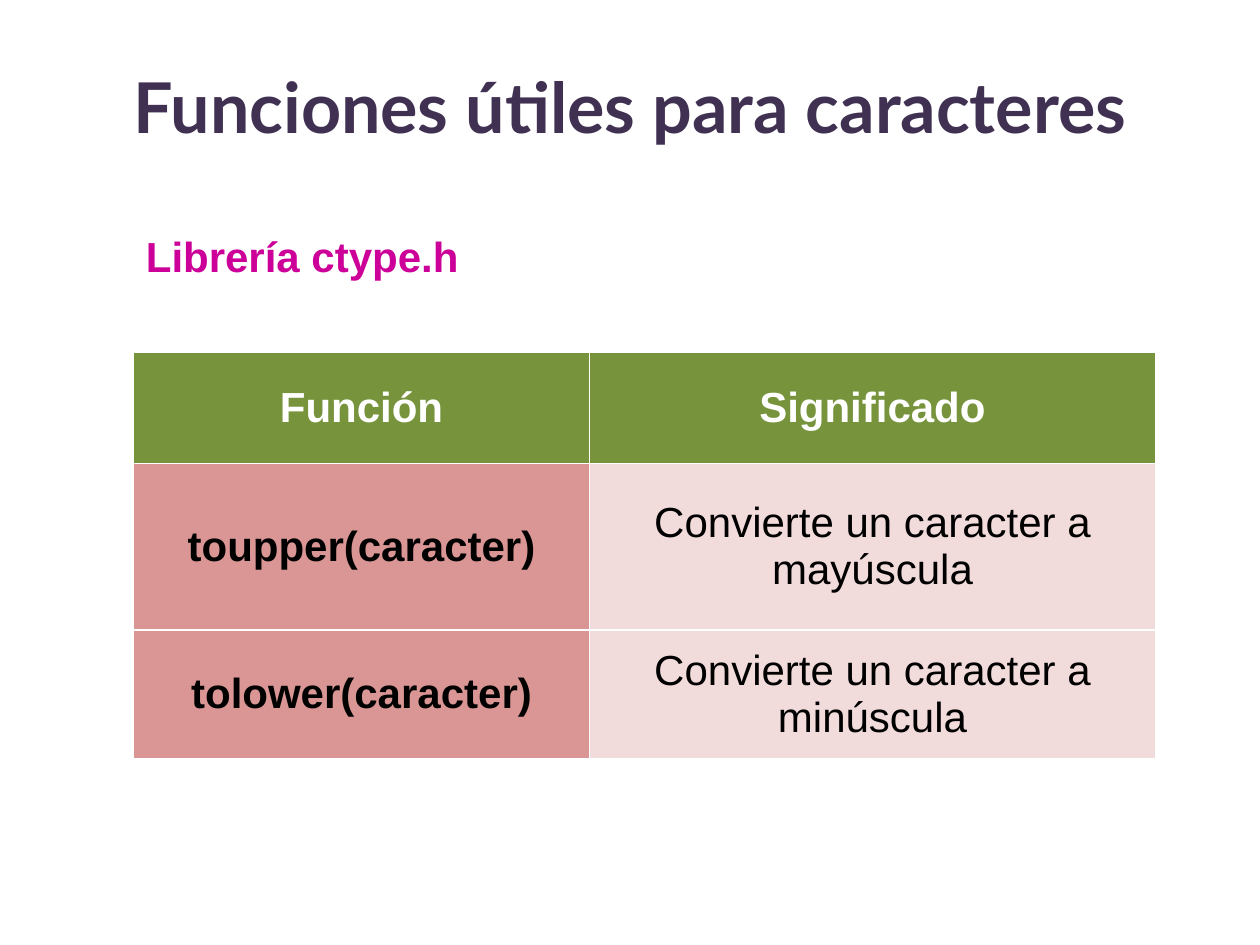
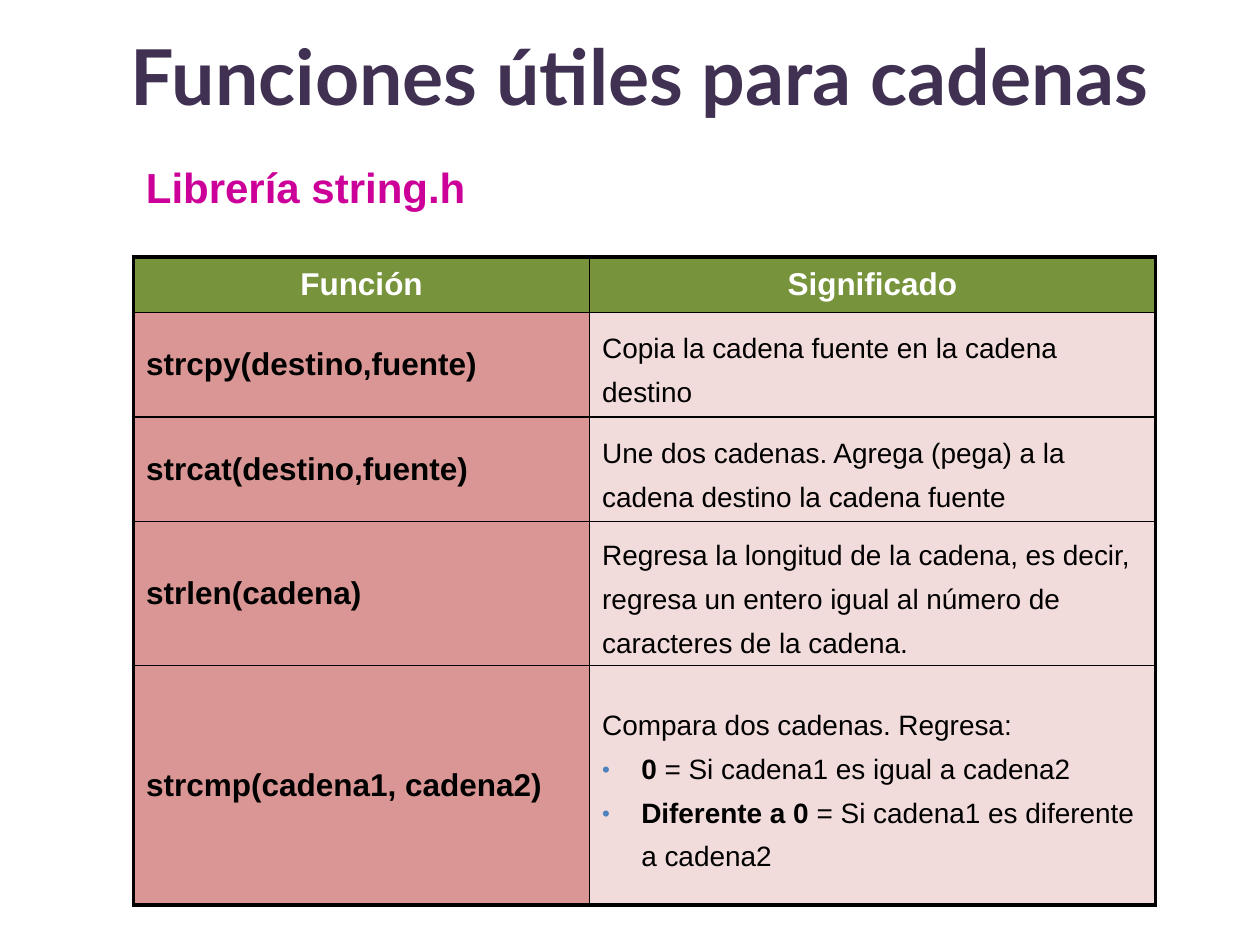
"""Build two slides that list useful C functions for characters and strings."""
import pptx
import pptx.dml.color
import pptx.enum.text
import pptx.oxml
import pptx.oxml.ns
import pptx.util
import lxml.etree

presentation = pptx.Presentation()
presentation.slide_width = pptx.util.Inches(10)
presentation.slide_height = pptx.util.Inches(7.5)
column = presentation.slide_width / 100
row = presentation.slide_height / 75

LEFT = pptx.enum.text.PP_ALIGN.LEFT
CENTER = pptx.enum.text.PP_ALIGN.CENTER
MIDDLE = pptx.enum.text.MSO_ANCHOR.MIDDLE
COLORS = {"title": "403152", "library": "CC0099", "header": "77933C",
          "function": "D99694", "meaning": "F2DCDB", "bullet": "4F81BD",
          "white": "FFFFFF", "black": "000000"}
NAMESPACE = pptx.oxml.ns.nsdecls("a")
TABLE_LEFT, COLUMN_WIDTHS = 10.6, (36.2, 44.9)


def color(name):
    return pptx.dml.color.RGBColor.from_string(COLORS[name])


def write(paragraph, runs, alignment, size, font_color, name="Arial"):
    paragraph.alignment = alignment
    for text, bold in runs:
        run = paragraph.add_run()
        run.text = text
        font_format = {"name": name, "size": pptx.util.Pt(size), "bold": bold}
        for attribute, value in font_format.items():
            setattr(run.font, attribute, value)
        run.font.color.rgb = color(font_color)


slides = [
    {"title": "Funciones útiles para caracteres", "title_size": 40,
     "title_at": (7.5, 2.1), "library": "Librería ctype.h", "library_top": 17.8,
     "table_top": 28, "rows": (8.8, 13.2, 10.2), "sizes": (24, 24),
     "alignment": CENTER, "spacing": None, "line": "white", "outer": 0,
     "functions": [
         ("toupper(caracter)", [[("Convierte un caracter a mayúscula", False)]]),
         ("tolower(caracter)", [[("Convierte un caracter a minúscula", False)]])]},
    {"title": "Funciones útiles para cadenas", "title_size": 44,
     "title_at": (8.3, -0.3), "library": "Librería string.h", "library_top": 12.3,
     "table_top": 20.4, "rows": (4.4, 8.3, 8.3, 11, 19), "sizes": (18, 16),
     "alignment": LEFT, "spacing": pptx.util.Pt(25), "line": "black", "outer": 2.25,
     "functions": [
         ("strcpy(destino,fuente)",
          [[("Copia la cadena fuente en la cadena destino", False)]]),
         ("strcat(destino,fuente)",
          [[("Une dos cadenas. Agrega (pega) a la cadena destino la cadena fuente", False)]]),
         ("strlen(cadena)",
          [[("Regresa la longitud de la cadena, es decir, regresa un entero "
             "igual al número de caracteres de la cadena.", False)]]),
         ("strcmp(cadena1, cadena2)",
          [[("Compara dos cadenas. Regresa:", False)],
           [("0 ", True), ("= Si cadena1 es igual a cadena2", False)],
           [("Diferente a 0", True), (" = Si cadena1 es diferente a cadena2", False)]])]},
]

for content in slides:
    slide = presentation.slides.add_slide(presentation.slide_layouts[6])
    title_left, title_top = content["title_at"]
    texts = [
        ((title_left, title_top, 85, 12.5), MIDDLE,
         (content["title"], CENTER, content["title_size"], "title", "Lato")),
        ((TABLE_LEFT, content["library_top"], 32.3, 5), pptx.enum.text.MSO_ANCHOR.TOP,
         (content["library"], LEFT, 24, "library", "Arial"))]
    for (left, top, width, height), anchor, (text, *style) in texts:
        shape = slide.shapes.add_textbox(int(left * column), int(top * row),
                                         int(width * column), int(height * row))
        shape.text_frame.word_wrap = True
        shape.text_frame.vertical_anchor = anchor
        write(shape.text_frame.paragraphs[0], [(text, True)], *style)

    heights = content["rows"]
    table = slide.shapes.add_table(
        len(heights), 2, int(TABLE_LEFT * column), int(content["table_top"] * row),
        int(sum(COLUMN_WIDTHS) * column), int(sum(heights) * row)).table
    for index, width in enumerate(COLUMN_WIDTHS):
        table.columns[index].width = int(width * column)
    for index, height in enumerate(heights):
        table.rows[index].height = int(height * row)

    header = ("Función", [[("Significado", True)]])
    name_size, meaning_size = content["sizes"]
    for row_index, (function, meaning) in enumerate([header] + content["functions"]):
        for column_index, lines in enumerate(([[(function, True)]], meaning)):
            cell = table.cell(row_index, column_index)
            cell.vertical_anchor = MIDDLE
            properties = cell._tc.get_or_add_tcPr()
            edges = {"lnL": column_index == 0, "lnR": column_index == 1,
                     "lnT": row_index == 0, "lnB": row_index == len(heights) - 1}
            for tag, is_outer in edges.items():
                points = content["outer"] if is_outer else 1
                paint = (f'<a:solidFill><a:srgbClr val="{COLORS[content["line"]]}"/></a:solidFill>'
                         if points else "<a:noFill/>")
                properties.append(pptx.oxml.parse_xml(
                    f'<a:{tag} {NAMESPACE} w="{pptx.util.Pt(points)}">{paint}</a:{tag}>'))
            is_header = row_index == 0
            cell.fill.solid()
            cell.fill.fore_color.rgb = color(
                "header" if is_header else ("function", "meaning")[column_index])

            is_meaning = column_index == 1 and not is_header
            for line_index, runs in enumerate(lines):
                frame = cell.text_frame
                paragraph = frame.add_paragraph() if line_index else frame.paragraphs[0]
                write(paragraph, runs, CENTER if is_header else content["alignment"],
                      meaning_size if is_meaning else name_size,
                      "white" if is_header else "black")
                if is_meaning:
                    paragraph.line_spacing = content["spacing"]
                if line_index:
                    bullet = paragraph._p.get_or_add_pPr()
                    indent = int(3.1 * column)
                    bullet.set("marL", str(indent))
                    bullet.set("indent", str(-indent))
                    for markup in (
                            f'<a:buClr {NAMESPACE}><a:srgbClr val="{COLORS["bullet"]}"/></a:buClr>',
                            f'<a:buSzPct {NAMESPACE} val="80000"/>',
                            f'<a:buFont {NAMESPACE} typeface="Arial"/>',
                            f'<a:buChar {NAMESPACE} char="•"/>'):
                        bullet.append(lxml.etree.fromstring(markup))

presentation.save("out.pptx")
